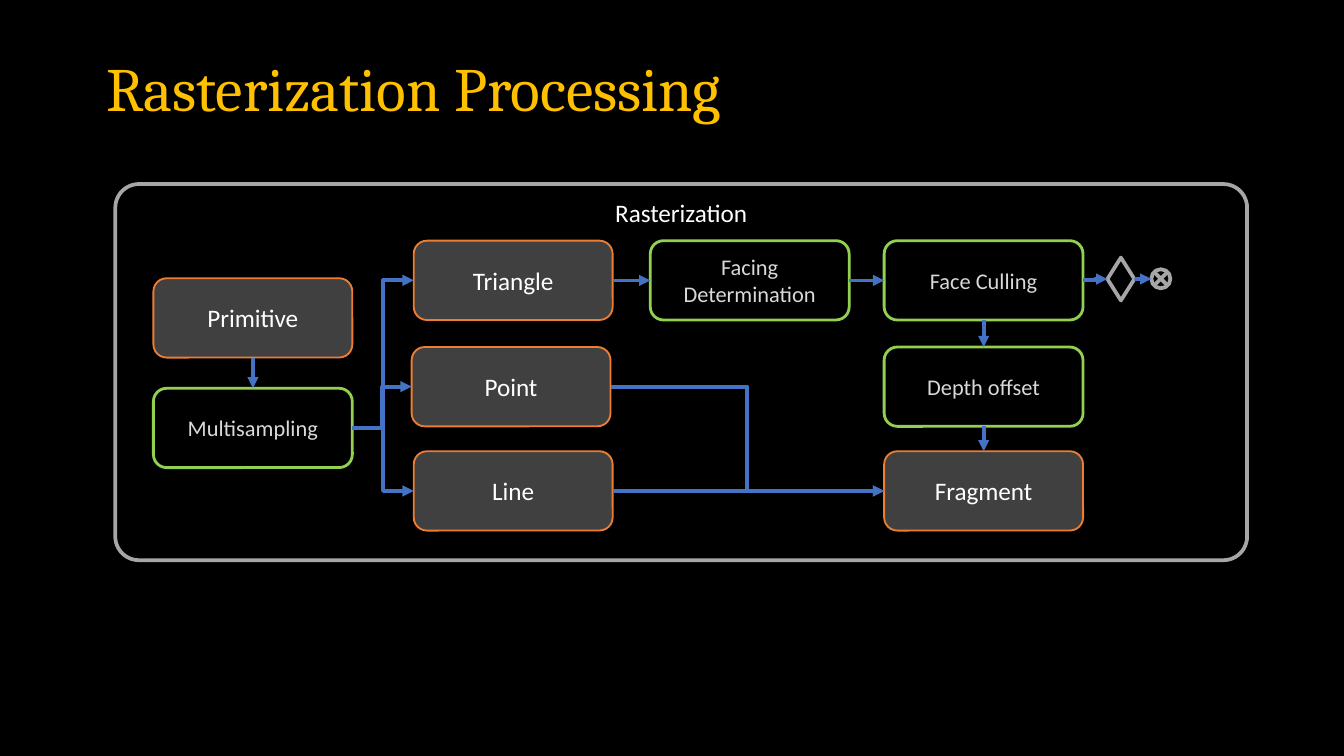
from lxml import etree
from pptx import Presentation
from pptx.dml.color import RGBColor
from pptx.enum.shapes import MSO_CONNECTOR as Route, MSO_SHAPE as Preset
from pptx.enum.text import MSO_ANCHOR as Anchor, MSO_AUTO_SIZE as AutoSize, PP_ALIGN as Align
from pptx.oxml.ns import qn
from pptx.util import Cm, Pt

TOP, LEFT, BOTTOM, RIGHT = range(4)  # connection sites of a box


def color(hex_code):
    return RGBColor.from_string(hex_code)


def write(frame, text, size=13.5, font="Calibri", ink="FFFFFF",
          align=Align.CENTER, anchor=Anchor.MIDDLE, spacing=None):
    frame.word_wrap = True
    frame.auto_size = AutoSize.NONE
    frame.vertical_anchor = anchor
    frame.text = text
    paragraph = frame.paragraphs[0]
    paragraph.alignment = align
    paragraph.line_spacing = spacing
    run_font = paragraph.runs[0].font
    run_font.name, run_font.size = font, Pt(size)
    run_font.color.rgb = color(ink)


class Diagram:
    GRAY, BLUE, GREEN, ORANGE = "A6A6A6", "4472C4", "92D050", "ED7D31"
    BLACK, DARK, PALE, GOLD = "000000", "404040", "D9D9D9", "FFC000"
    BOX_WIDTH, BOX_HEIGHT = 3.76, 1.5

    def __init__(self, slide):
        self.slide = slide
        slide.background.fill.solid()
        slide.background.fill.fore_color.rgb = color(self.BLACK)

    def title(self, text):
        heading = self.slide.shapes.title
        heading.left, heading.top = Cm(1.75), Cm(0.76)
        heading.width, heading.height = Cm(21.9), Cm(1.93)
        write(heading.text_frame, text, size=33, font="Cambria", ink=self.GOLD,
              align=Align.LEFT, spacing=0.9)

    def outline(self, preset, x, y, width, height, line=GRAY, weight=2, fill=None):
        shape = self.slide.shapes.add_shape(preset, Cm(x), Cm(y), Cm(width), Cm(height))
        shape.shadow.inherit = False
        if fill:
            shape.fill.solid()
            shape.fill.fore_color.rgb = color(fill)
        else:
            shape.fill.background()
        shape.line.color.rgb = color(line)
        shape.line.width = Pt(weight)
        return shape

    def stage(self, text, x, y):
        """A fixed processing step."""
        box = self.outline(Preset.ROUNDED_RECTANGLE, x, y, self.BOX_WIDTH, self.BOX_HEIGHT,
                           self.GREEN, 1.5, self.BLACK)
        write(box.text_frame, text, size=12, ink=self.PALE)
        return box

    def data(self, text, x, y):
        """A kind of data that flows between the steps."""
        box = self.outline(Preset.ROUNDED_RECTANGLE, x, y, self.BOX_WIDTH, self.BOX_HEIGHT,
                           self.ORANGE, 1, self.DARK)
        write(box.text_frame, text)
        return box

    def arrow(self, route=Route.STRAIGHT, start=(0, 0), end=(0, 0)):
        arrow = self.slide.shapes.add_connector(route, *start, *end)
        arrow.line.color.rgb = color(self.BLUE)
        arrow.line.width = Pt(2)
        etree.SubElement(arrow.line._get_or_add_ln(), qn("a:tailEnd"), type="triangle")
        etree.SubElement(arrow._element.spPr, qn("a:effectLst"))
        return arrow

    def link(self, source, target, leave=RIGHT, enter=LEFT, route=Route.STRAIGHT):
        arrow = self.arrow(route)
        arrow.begin_connect(source, leave)
        arrow.end_connect(target, enter)


def main():
    deck = Presentation()
    deck.slide_width, deck.slide_height = Cm(25.4), Cm(14.29)
    page = Diagram(deck.slides.add_slide(deck.slide_layouts[5]))
    page.title("Rasterization Processing")

    # Frame around the whole stage
    frame = page.outline(Preset.ROUNDED_RECTANGLE, 2.18, 3.48, 21.39, 7.11)
    frame.adjustments[0] = 0.063
    write(frame.text_frame, "Rasterization", anchor=Anchor.TOP)

    # Boxes, column by column
    input_x, shape_x, facing_x, output_x = 2.9, 7.82, 12.29, 16.71
    upper, middle, lower = 4.55, 6.56, 8.53
    primitive = page.data("Primitive", input_x, 5.26)
    multisampling = page.stage("Multisampling", input_x, 7.34)
    triangle = page.data("Triangle", shape_x, upper)
    point = page.data("Point", shape_x - 0.04, middle)
    line = page.data("Line", shape_x, lower)
    facing = page.stage("Facing Determination", facing_x, upper)
    culling = page.stage("Face Culling", output_x, upper)
    depth = page.stage("Depth offset", output_x, middle)
    fragment = page.data("Fragment", output_x, lower)

    # Exit for culled faces
    decision = page.outline(Preset.DIAMOND, 20.93, 4.87, 0.51, 0.81)
    discard = page.outline(Preset.FLOWCHART_SUMMING_JUNCTION, 21.76, 5.09, 0.36, 0.36)

    # Flow
    for source, target in ((primitive, multisampling), (culling, depth), (depth, fragment)):
        page.link(source, target, BOTTOM, TOP)
    for source, target in ((triangle, facing), (facing, culling)):
        page.link(source, target)
    for source, target in ((multisampling, triangle), (multisampling, point),
                           (multisampling, line), (point, fragment),
                           (line, fragment), (culling, decision)):
        page.link(source, target, route=Route.ELBOW)
    page.arrow(start=(decision.left + decision.width, decision.top + decision.height // 2),
               end=(discard.left, discard.top + discard.height // 2))

    deck.save("out.pptx")


if __name__ == "__main__":
    main()
